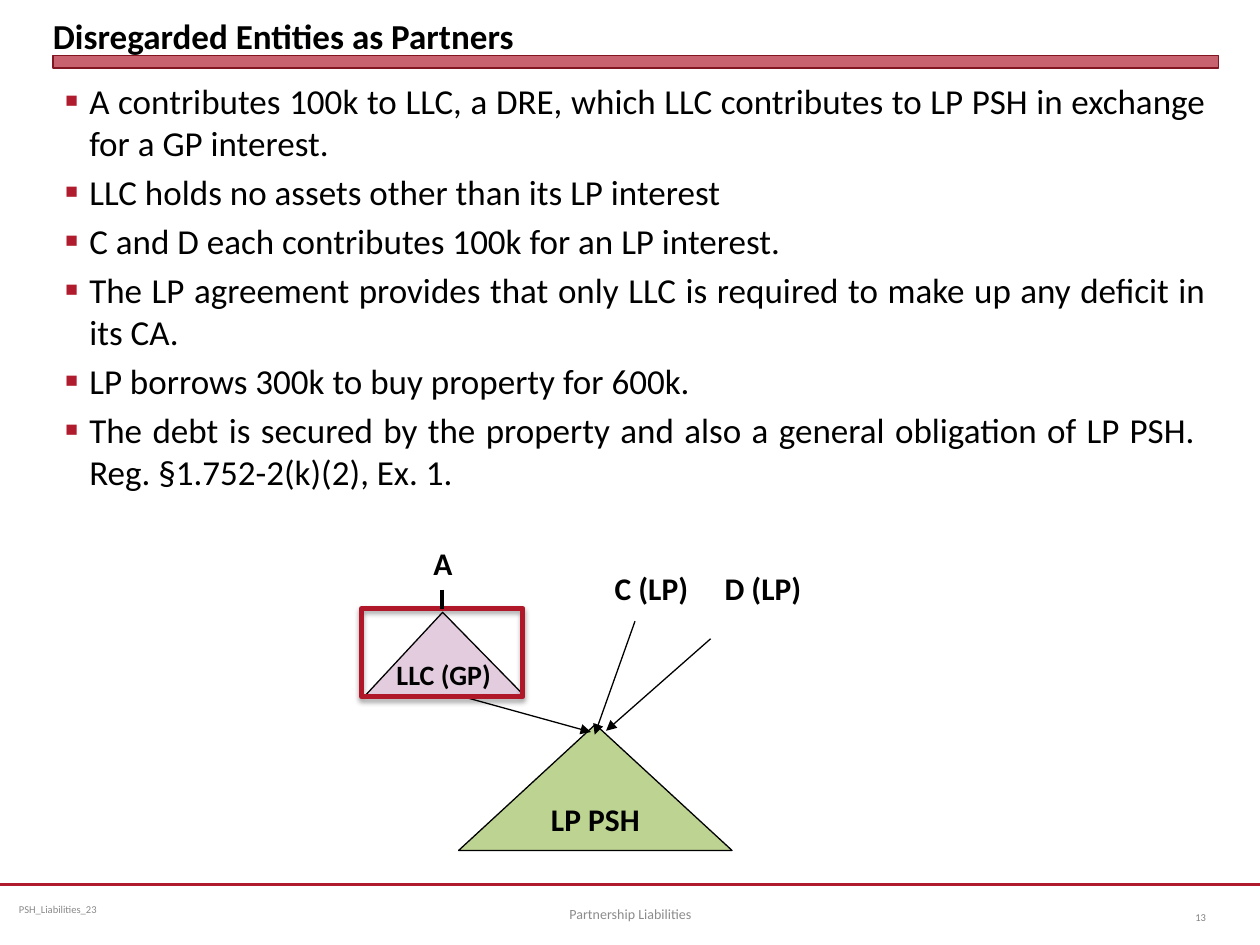
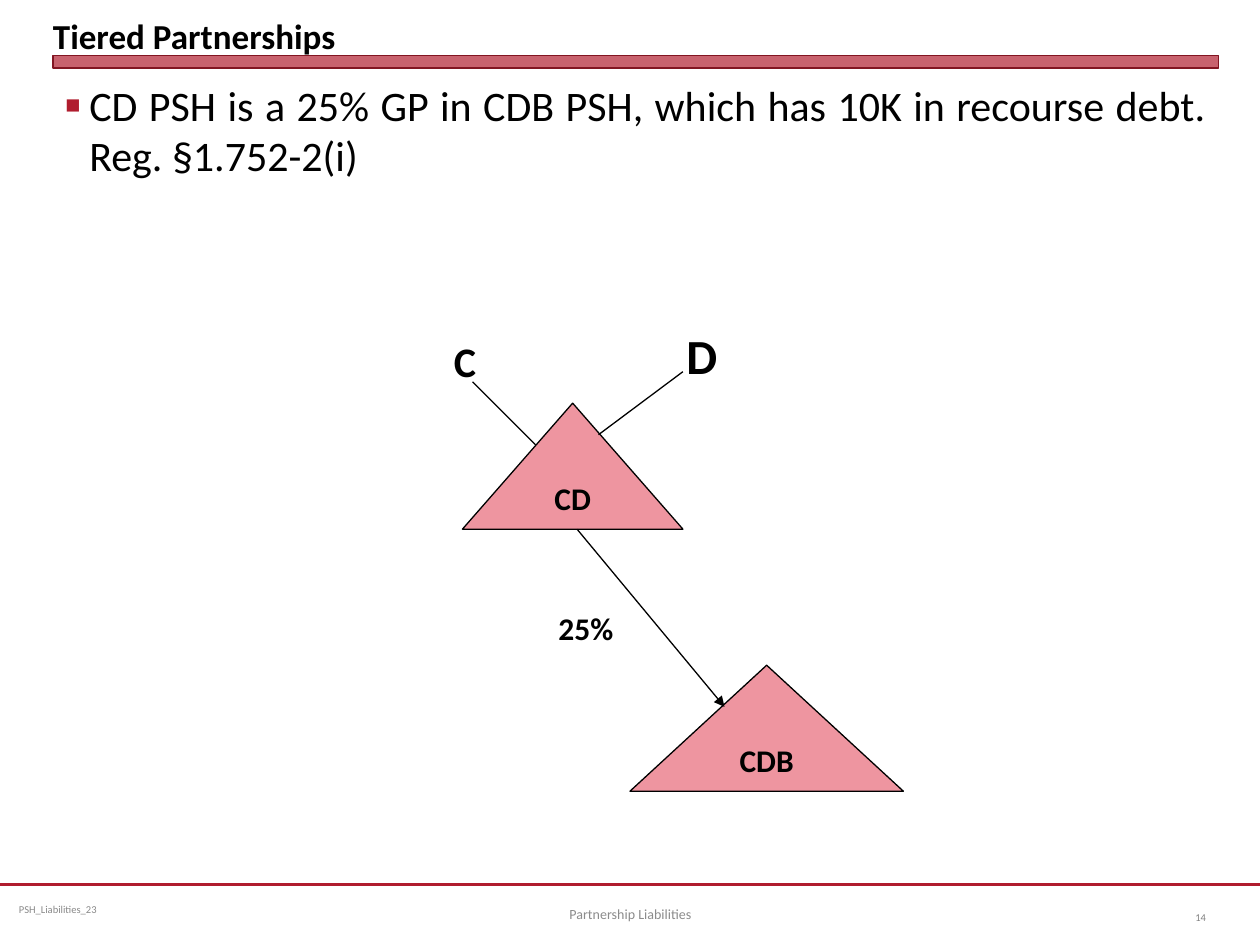
from lxml.etree import SubElement
from pptx import Presentation
from pptx.dml.color import RGBColor
from pptx.enum.shapes import MSO_CONNECTOR as Connector, MSO_SHAPE as Shape
from pptx.enum.text import MSO_ANCHOR as Anchor, MSO_AUTO_SIZE as AutoSize, PP_ALIGN as Align
from pptx.oxml.ns import qn
from pptx.util import Inches, Pt

BLACK = RGBColor(0x00, 0x00, 0x00)
CRIMSON = RGBColor(0xB0, 0x1C, 0x2E)
DARK_RED = RGBColor(0x82, 0x15, 0x22)
FRAME_RED = RGBColor(0xB0, 0x18, 0x2A)
LILAC = RGBColor(0xE3, 0xCC, 0xDD)
GREEN = RGBColor(0xBD, 0xD3, 0x92)
PINK = RGBColor(0xEE, 0x95, 0xA0)
NOTE_GRAY = RGBColor(0x89, 0x89, 0x89)
NUMBER_GRAY = RGBColor(0x80, 0x80, 0x80)
FOOTER_GRAY = RGBColor(0x8C, 0x8C, 0x8C)

FONT = "Calibri"
MARGIN, CONTENT_WIDTH = 0.42, 9.25
BULLET_INDENT = 0.19


def set_all(target, values):
    for name, value in values.items():
        setattr(target, name, value)


def add_xml(parent, tag, **attributes):
    return SubElement(parent, qn(tag), {name: str(value) for name, value in attributes.items()})


class SlideBuilder:
    def __init__(self, deck):
        self.deck = deck
        self.page = None

    def start(self, title, number):
        """Begin a slide with the shared title, band and footer."""
        self.page = self.deck.slides.add_slide(self.deck.slide_layouts[6])
        self.line((0, 7.02), (10, 7.02), CRIMSON, 1.25)
        band = self.shape(Shape.RECTANGLE, (MARGIN, 0.44, CONTENT_WIDTH, 0.1), CRIMSON, DARK_RED, 0)
        color = band._element.spPr.find(qn("a:solidFill"))[0]
        add_xml(color, "a:alpha", val=69000)
        self.text(title, (MARGIN, 0.05, CONTENT_WIDTH, 0.4), 20, bold=True, align=Align.LEFT,
                  anchor=Anchor.BOTTOM, insets=(0, 0))
        self.text("PSH_Liabilities_23", (0.08, 7.02, 2.58, 0.4), 6, NOTE_GRAY,
                  align=Align.LEFT, insets=(0.07, 0.04))
        self.text("Partnership Liabilities", (3.42, 7.05, 3.17, 0.4), 8, FOOTER_GRAY)
        self.text(str(number), (9.17, 7.08, 0.5, 0.4), 6, NUMBER_GRAY, align=Align.RIGHT)

    def fill_para(self, para, words, size, color=BLACK, bold=False, align=Align.CENTER):
        para.alignment = align
        span = para.add_run()
        span.text = words
        set_all(span.font, {"name": FONT, "size": Pt(size), "bold": bold})
        span.font.color.rgb = color

    def text(self, words, place, size, color=BLACK, bold=False, align=Align.CENTER,
             anchor=Anchor.MIDDLE, insets=(0.1, 0.05)):
        box = self.page.shapes.add_textbox(*map(Inches, place))
        side, top = map(Inches, insets)
        set_all(box.text_frame, {"word_wrap": True, "vertical_anchor": anchor,
                                 "margin_left": side, "margin_right": side,
                                 "margin_top": top, "margin_bottom": top})
        self.fill_para(box.text_frame.paragraphs[0], words, size, color, bold, align)
        return box

    def label(self, words, place, size=18):
        box = self.text(words, place, size, bold=True)
        box.text_frame.auto_size = AutoSize.SHAPE_TO_FIT_TEXT

    def bullets(self, items, size):
        box = self.page.shapes.add_textbox(*map(Inches, (MARGIN, 0.58, CONTENT_WIDTH, 6.36)))
        frame = box.text_frame
        frame.word_wrap = True
        for index, item in enumerate(items):
            para = frame.add_paragraph() if index else frame.paragraphs[0]
            para.space_before = Pt(size * 0.2)
            self.fill_para(para, item, size, align=Align.JUSTIFY)
            props = para._p.get_or_add_pPr()
            props.set("marL", str(Inches(BULLET_INDENT)))
            props.set("indent", str(-Inches(BULLET_INDENT)))
            add_xml(add_xml(props, "a:buClr"), "a:srgbClr", val=CRIMSON)
            add_xml(props, "a:buSzPct", val=60000)
            add_xml(props, "a:buFont", typeface="Arial")
            add_xml(props, "a:buChar", char="■")

    def shape(self, kind, place, fill, line, width):
        item = self.page.shapes.add_shape(kind, *map(Inches, place))
        item.shadow.inherit = False
        if fill is None:
            item.fill.background()
        else:
            item.fill.solid()
            item.fill.fore_color.rgb = fill
        item.line.color.rgb = line
        item.line.width = Pt(width)
        return item

    def entity(self, name, place, fill, size=18, peak=0.5):
        """Draw a partnership as a labelled triangle."""
        triangle = self.shape(Shape.ISOSCELES_TRIANGLE, place, fill, BLACK, 0.75)
        triangle.adjustments[0] = peak
        set_all(triangle.text_frame, {"word_wrap": False, "vertical_anchor": Anchor.MIDDLE})
        self.fill_para(triangle.text_frame.paragraphs[0], name, size, bold=True)

    def frame(self, place):
        box = self.shape(Shape.RECTANGLE, place, None, FRAME_RED, 3)
        effects = box._element.spPr.find(qn("a:effectLst"))
        shadow = add_xml(effects, "a:outerShdw", blurRad=Pt(3.1), dist=Pt(1.8),
                         dir=90 * 60000, rotWithShape=0)
        add_xml(add_xml(shadow, "a:srgbClr", val=BLACK), "a:alpha", val=35000)
        return box

    def line(self, start, end, color=BLACK, width=0.75, arrow=False):
        connector = self.page.shapes.add_connector(Connector.STRAIGHT, *map(Inches, start + end))
        connector.line.color.rgb = color
        connector.line.width = Pt(width)
        properties = connector._element.spPr
        if arrow:
            add_xml(properties.find(qn("a:ln")), "a:tailEnd", type="triangle")
        add_xml(properties, "a:effectLst")
        return connector


def build_disregarded_entities(builder):
    builder.start("Disregarded Entities as Partners", 13)
    builder.bullets([
        "A contributes 100k to LLC, a DRE, which LLC contributes to LP PSH in exchange "
        "for a GP interest.",
        "LLC holds no assets other than its LP interest",
        "C and D each contributes 100k for an LP interest.",
        "The LP agreement provides that only LLC is required to make up any deficit in its CA.",
        "LP borrows 300k to buy property for 600k.",
        "The debt is secured by the property and also a general obligation of LP PSH.  "
        "Reg. §1.752-2(k)(2), Ex. 1.",
    ], 20)

    # Entities and their partners
    builder.entity("LLC (GP)", (2.9, 4.86, 1.26, 0.66), LILAC, 16, 0.487)
    builder.entity("LP PSH", (3.64, 5.75, 2.17, 1), GREEN)
    builder.label("D (LP)", (5.59, 4.47, 0.93, 0.4))
    builder.label("C (LP)", (4.68, 4.47, 0.98, 0.4))

    # Contributions to the partnership
    for start, end in [((3.64, 5.52), (4.69, 5.81)),
                       ((5.04, 4.93), (4.72, 5.83)),
                       ((5.64, 5.07), (4.81, 5.8))]:
        builder.line(start, end, arrow=True)

    # Disregarded entity and its owner
    llc_frame = builder.frame((2.87, 4.83, 1.28, 0.7))
    builder.label("A", (3.34, 4.27, 0.35, 0.4))
    ownership = builder.line((3.51, 4.68), (3.51, 4.83), width=2.25)
    ownership.end_connect(llc_frame, 0)


def build_tiered_partnerships(builder):
    builder.start("Tiered Partnerships", 14)
    builder.bullets(["CD PSH is a 25% GP in CDB PSH, which has 10K in recourse debt. "
                     "Reg. §1.752-2(i)"], 24)

    # Upper and lower tier
    builder.entity("CD", (3.67, 3.2, 1.75, 1), PINK)
    builder.entity("CDB", (5, 5.28, 2.17, 1), PINK)
    builder.line((4.58, 4.2), (5.75, 5.61), arrow=True)
    builder.label("25%", (4.3, 4.78, 0.7, 0.4))

    # Partners of the upper tier
    builder.label("D", (5.33, 2.53, 0.48, 0.57), 28)
    builder.label("C", (3.33, 2.61, 0.72, 0.5), 24)
    builder.line((3.75, 3.03), (4.25, 3.53))
    builder.line((5.42, 2.95), (4.75, 3.45))


def main():
    deck = Presentation()
    deck.slide_width, deck.slide_height = Inches(10), Inches(7.5)
    builder = SlideBuilder(deck)
    build_disregarded_entities(builder)
    build_tiered_partnerships(builder)
    deck.save("out.pptx")


if __name__ == "__main__":
    main()
